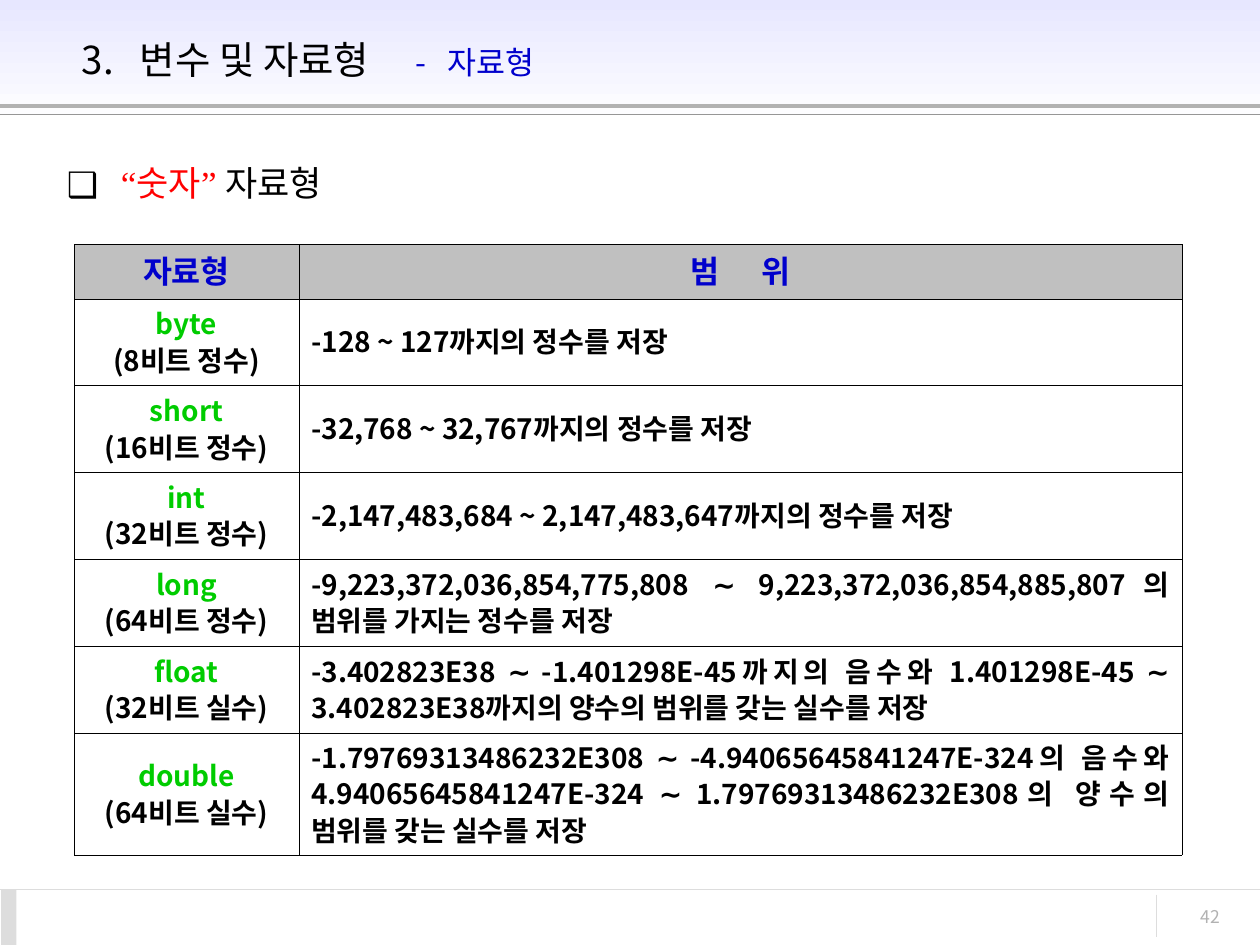
from lxml import etree
from pptx import Presentation, util as u
from pptx.dml import color
from pptx.enum import shapes, text
from pptx.oxml import ns

SANS, SERIF = "Noto Sans CJK KR", "Times New Roman"
HUES = {
    "sky": "E7E7FF", "white": "FFFFFF", "black": "000000", "blue": "0000CC",
    "green": "00CC00", "red": "FF0000", "head": "C0C0C0", "rule": "B2B2B2",
    "thin": "969696", "pale": "DDDDDD",
}
RULES = [
    (0, 0.84, 10, 0.84, "rule", 2.25),
    (0, 0.91, 10, 0.91, "thin", 0.75),
    (0, 7.06, 10, 7.06, "pale", 0.75),
    (9.18, 7.1, 9.18, 7.44, "pale", 0.75),
]
TYPES = [
    ("byte", "(8비트 정수)", "-128 ~ 127까지의 정수를 저장"),
    ("short", "(16비트 정수)", "-32,768 ~ 32,767까지의 정수를 저장"),
    ("int", "(32비트 정수)", "-2,147,483,684 ~ 2,147,483,647까지의 정수를 저장"),
    ("long", "(64비트 정수)",
     "-9,223,372,036,854,775,808 ∼ 9,223,372,036,854,885,807의 "
     "범위를 가지는 정수를 저장"),
    ("float", "(32비트 실수)",
     "-3.402823E38 ∼ -1.401298E-45까지의 음수와 1.401298E-45 ∼ "
     "3.402823E38까지의 양수의 범위를 갖는 실수를 저장"),
    ("double", "(64비트 실수)",
     "-1.79769313486232E308 ∼ -4.94065645841247E-324의 음수와 "
     "4.94065645841247E-324 ∼ 1.79769313486232E308의 양수의 "
     "범위를 갖는 실수를 저장"),
]


def rgb(hue):
    return color.RGBColor.from_string(HUES[hue])


def sub(node, tag, **attrs):
    """Append a child element such as a:ln to an XML node."""
    return etree.SubElement(node, ns.qn(tag), attrs)


def place(shape, *box):
    shape.left, shape.top, shape.width, shape.height = map(u.Inches, box)


def add_run(para, words, size, hue, face=SANS, bold=False):
    run = para.add_run()
    run.text = words
    font = run.font
    font.size, font.name, font.bold = u.Pt(size), face, bold
    font.color.rgb = rgb(hue)
    sub(run._r.get_or_add_rPr(), "a:ea", typeface=face)
    return run


def add_rect(slide, *box):
    rect = slide.shapes.add_shape(shapes.MSO_SHAPE.RECTANGLE, *map(u.Inches, box))
    rect.shadow.inherit = False
    rect.line.fill.background()
    return rect


def add_rule(slide, x1, y1, x2, y2, hue, width):
    rule = slide.shapes.add_connector(
        shapes.MSO_CONNECTOR.STRAIGHT, *map(u.Inches, (x1, y1, x2, y2)))
    rule.line.color.rgb = rgb(hue)
    rule.line.width = u.Pt(width)
    sub(rule._element.spPr, "a:effectLst")


def add_frame(slide):
    """Draw the header band, the rules and the footer with its page number."""
    fill = add_rect(slide, 0, 0, 10, 1).fill
    fill.gradient()
    fill.gradient_angle = 270
    for stop, hue, pos in zip(fill.gradient_stops, ("sky", "white"), (0, 1)):
        stop.color.rgb, stop.position = rgb(hue), pos
    for rule in RULES:
        add_rule(slide, *rule)
    fill = add_rect(slide, 0.01, 7.06, 0.12, 0.44).fill
    fill.solid()
    fill.fore_color.rgb = rgb("pale")
    box = slide.shapes.add_textbox(*map(u.Inches, (8.86, 7.14, 0.92, 0.33)))
    box.text_frame.word_wrap = True
    para = box.text_frame.paragraphs[0]
    para.alignment = text.PP_ALIGN.RIGHT
    add_run(para, "42", 10, "rule")


def set_title(title):
    place(title, 0.55, 0.13, 8.63, 0.68)
    frame = title.text_frame
    frame.auto_size = text.MSO_AUTO_SIZE.NONE
    frame.vertical_anchor = text.MSO_ANCHOR.MIDDLE
    para = frame.paragraphs[0]
    para.alignment = text.PP_ALIGN.LEFT
    tabs = sub(para._p.get_or_add_pPr(), "a:tabLst")
    for stop in (0.46, 2.65, 2.9):
        sub(tabs, "a:tab", pos=str(u.Inches(stop)), algn="l")
    add_run(para, "3.\t변수 및 자료형\t", 22, "black")
    add_run(para, "-\t자료형", 18, "blue")


def set_body(body):
    place(body, 0.43, 1.23, 8.67, 4.95)
    body.text_frame.auto_size = text.MSO_AUTO_SIZE.NONE
    para = body.text_frame.paragraphs[0]
    props = para._p.get_or_add_pPr()
    dent = u.Inches(0.43)
    props.set("marL", str(dent))
    props.set("indent", str(-dent))
    sub(sub(props, "a:buClr"), "a:srgbClr", val=HUES["black"])
    sub(props, "a:buFont", typeface=SANS)
    sub(props, "a:buChar", char="❑")
    para.space_before = u.Pt(0)
    for words, hue, face in (("“", "red", SERIF), ("숫자", "red", SANS),
                             ("” ", "red", SERIF), ("자료형", "black", SANS)):
        add_run(para, words, 20, hue, face)


def style_cell(cell, fill=None):
    props = cell._tc.get_or_add_tcPr()
    for side in "LRTB":
        line = sub(props, f"a:ln{side}", w=str(u.Pt(0.11)))
        sub(sub(line, "a:solidFill"), "a:srgbClr", val=HUES["black"])
    if fill:
        cell.fill.solid()
        cell.fill.fore_color.rgb = rgb(fill)
    else:
        cell.fill.background()
    cell.vertical_anchor = text.MSO_ANCHOR.MIDDLE


def add_line(cell, words, size, hue, align=text.PP_ALIGN.CENTER):
    """Write one bold paragraph into a cell and return its run."""
    frame = cell.text_frame
    para = frame.paragraphs[0]
    if para.runs:
        para = frame.add_paragraph()
    para.alignment, para.line_spacing = align, 0.9
    return add_run(para, words, size, hue, bold=True)


def add_grid(slide):
    grid = slide.shapes.add_table(
        len(TYPES) + 1, 2, *map(u.Inches, (0.59, 1.94, 8.79, 4.83))).table
    grid.first_row = grid.horz_banding = False
    for col, width in zip(grid.columns, (1.78, 7.01)):
        col.width = u.Inches(width)
    for row, height in zip(grid.rows, [0.43] + [0.69] * 5 + [0.96]):
        row.height = u.Inches(height)
    kind, span = grid.rows[0].cells
    for cell in (kind, span):
        style_cell(cell, "head")
    add_line(kind, "자료형", 18, "blue")
    add_line(span, "범", 18, "blue")
    gap = add_run(span.text_frame.paragraphs[0], " ", 18, "blue", bold=True)
    gap._r.get_or_add_rPr().set("spc", "2000")
    add_run(span.text_frame.paragraphs[0], "위", 18, "blue", bold=True)
    for at, (name, bits, scope) in enumerate(TYPES, 1):
        kind, span = grid.rows[at].cells
        for cell in (kind, span):
            style_cell(cell)
        add_line(kind, name, 16, "green")
        add_line(kind, bits, 16, "black")
        add_line(span, scope, 16, "black", text.PP_ALIGN.JUSTIFY)


def main():
    deck = Presentation()
    deck.slide_width, deck.slide_height = u.Inches(10), u.Inches(7.5)
    slide = deck.slides.add_slide(deck.slide_layouts[1])
    title, body = slide.placeholders
    add_frame(slide)
    for holder, write in ((title, set_title), (body, set_body)):
        slide.shapes._spTree.append(holder._element)
        write(holder)
    add_grid(slide)
    deck.save("out.pptx")


if __name__ == "__main__":
    main()
